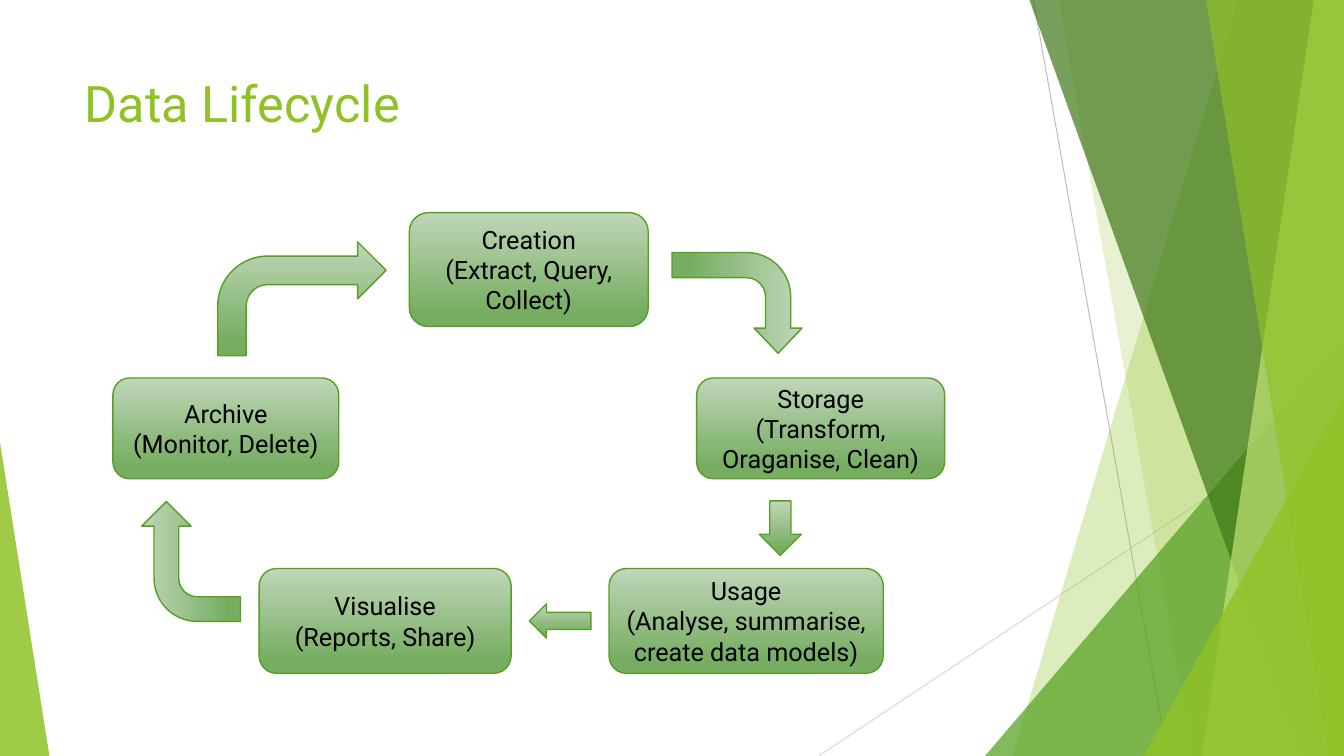
from pptx import Presentation
from pptx.dml.color import RGBColor
from pptx.enum.shapes import MSO_CONNECTOR, MSO_SHAPE
from pptx.enum.text import MSO_ANCHOR, PP_ALIGN
from pptx.oxml.ns import qn
from pptx.util import Inches, Pt
from lxml.etree import SubElement

LIME = RGBColor(0x90, 0xC2, 0x26)
GREEN = RGBColor(0x54, 0xA0, 0x21)
DARK = RGBColor(0x3F, 0x78, 0x19)
PALE = RGBColor(0xC0, 0xE4, 0x74)
LIGHT = RGBColor(0xC0, 0xD6, 0xB9)
MID = RGBColor(0x76, 0xAD, 0x61)
BLACK = RGBColor(0, 0, 0)
GREY = RGBColor(0xBF, 0xBF, 0xBF)
SILVER = RGBColor(0xD9, 0xD9, 0xD9)
FONT = "Roboto"
WIDTH, HEIGHT = 13.33, 7.5

# Facets, back to front: top and bottom x of the slanted edge, colour, opacity
FACETS_LOW = [(4.16, 1.92, LIME, 30), (2.38, 3.71, LIME, 20)]
FACETS_TOP = [(2.09, 4.79, DARK, 70), (4.91, 3.8, PALE, 70), (3.84, 5.06, LIME, 65)]

# Stages: left, top, width, height, name, tasks
STAGES = [
    (2.94, 0, 2.37, 1.13, "Creation", "(Extract, Query, Collect)"),
    (5.79, 1.64, 2.46, 1, "Storage", "(Transform, Oraganise, Clean)"),
    (4.92, 3.53, 2.72, 1.04, "Usage", "(Analyse, summarise, create data models)"),
    (1.45, 3.53, 2.5, 1.04, "Visualise", "(Reports, Share)"),
    (0, 1.64, 2.24, 1, "Archive", "(Monitor, Delete)"),
]
# Arrows: kind, left, top, width, height, rotation, adjustments
ARROWS = [
    (MSO_SHAPE.BENT_ARROW, 5.69, 0.25, 1, 1.29, 90, (0.25, 0.238, 0.25, 0.438)),
    (MSO_SHAPE.DOWN_ARROW, 6.41, 2.86, 0.42, 0.54, 0, ()),
    (MSO_SHAPE.LEFT_ARROW, 4.13, 3.88, 0.61, 0.34, 0, ()),
    (MSO_SHAPE.BENT_ARROW, 0.18, 2.97, 1.19, 0.98, 270, ()),
    (MSO_SHAPE.BENT_ARROW, 1.04, 0.29, 1.67, 1.13, 0, ()),
]


def style(item, values):
    for name, value in values.items():
        setattr(item, name, value)


def tint(shape, color, alpha):
    """Fill a borderless shape with a colour at the given opacity in percent."""
    shape.shadow.inherit = False
    shape.fill.solid()
    shape.fill.fore_color.rgb = color
    shape.line.fill.background()
    node = shape.fill._xPr.find(qn("a:solidFill"))[0]
    SubElement(node, qn("a:alpha"), val=str(alpha * 1000))


def add_line(shapes, start, end, color):
    line = shapes.add_connector(
        MSO_CONNECTOR.STRAIGHT, *[Inches(n) for n in (*start, *end)])
    line.line.color.rgb = color
    line.line.width = Pt(0.75)
    SubElement(line._element.spPr, qn("a:effectLst"))


def add_facets(shapes, facets, left, width, height):
    """Draw panels that run from a slanted edge to the right side of the box."""
    for top, low, color, alpha in facets:
        form = shapes.build_freeform(
            Inches(left + top), 0, scale=1.0)
        form.add_line_segments([
            (Inches(left + width), 0),
            (Inches(left + width), Inches(height)),
            (Inches(left + low), Inches(height)),
        ])
        tint(form.convert_to_shape(), color, alpha)


def add_wedge(shapes, left, base, width, height, peak, color, alpha):
    """Stand a triangle on the base line, with its peak at 0 (left) or 1 (right)."""
    wedge = shapes.add_shape(
        MSO_SHAPE.ISOSCELES_TRIANGLE,
        *[Inches(n) for n in (left, base - height, width, height)])
    wedge.adjustments[0] = peak
    tint(wedge, color, alpha)


def add_decor(shapes, left, width, height):
    right = left + width
    add_line(shapes, (left + 2.13, 0), (left + 3.46, height), GREY)
    add_line(shapes, (right, 4.03), (left, height), SILVER)
    add_facets(shapes, FACETS_LOW, left, width, height)
    add_wedge(shapes, right - 3.56, height, 3.56, 4.17, 1, GREEN, 72)
    add_facets(shapes, FACETS_TOP, left, width, height)
    add_wedge(shapes, right - 1.99, height, 1.99, 3.57, 1, LIME, 80)
    add_wedge(shapes, 0, height, 0.49, 3.11, 0, LIME, 85)


def add_text(frame, lines, size, color, align, anchor):
    style(frame, {"word_wrap": True, "vertical_anchor": anchor})
    for i, line in enumerate(lines):
        para = frame.add_paragraph() if i else frame.paragraphs[0]
        para.alignment = align
        run = para.add_run()
        run.text = line
        style(run.font, {"name": FONT, "size": Pt(size)})
        run.font.color.rgb = color


def add_title(title, left, top, width, height):
    style(title, {"left": Inches(left), "top": Inches(top),
                  "width": Inches(width), "height": Inches(height)})
    add_text(title.text_frame, ["Data Lifecycle"], 36, LIME,
             PP_ALIGN.LEFT, MSO_ANCHOR.TOP)


def add_block(shapes, kind, left, top, width, height):
    """Add a shape with the green gradient and outline of the cycle."""
    block = shapes.add_shape(kind, *[Inches(n) for n in (left, top, width, height)])
    block.shadow.inherit = False
    block.fill.gradient()
    block.fill.gradient_angle = 270
    for stop, place, color in zip(block.fill.gradient_stops, (0, 0.88), (LIGHT, MID)):
        stop.position = place
        stop.color.rgb = color
    block.line.color.rgb = GREEN
    block.line.width = Pt(1)
    return block


def add_cycle(shapes, left, top):
    for x, y, width, height, *lines in STAGES:
        block = add_block(shapes, MSO_SHAPE.ROUNDED_RECTANGLE,
                          left + x, top + y, width, height)
        add_text(block.text_frame, lines, 18, BLACK,
                 PP_ALIGN.CENTER, MSO_ANCHOR.MIDDLE)
    for kind, x, y, width, height, turn, bends in ARROWS:
        arrow = add_block(shapes, kind, left + x, top + y, width, height)
        arrow.rotation = turn
        for i, bend in enumerate(bends):
            arrow.adjustments[i] = bend


def main():
    deck = Presentation()
    style(deck, {"slide_width": Inches(WIDTH), "slide_height": Inches(HEIGHT)})
    slide = deck.slides.add_slide(deck.slide_layouts[5])
    add_decor(slide.shapes, 8.12, WIDTH - 8.12, HEIGHT)
    add_title(slide.shapes.title, 0.74, 0.67, 9.4, 1.44)
    add_cycle(slide.shapes, 1.12, 2.11)
    deck.save("out.pptx")


if __name__ == "__main__":
    main()
